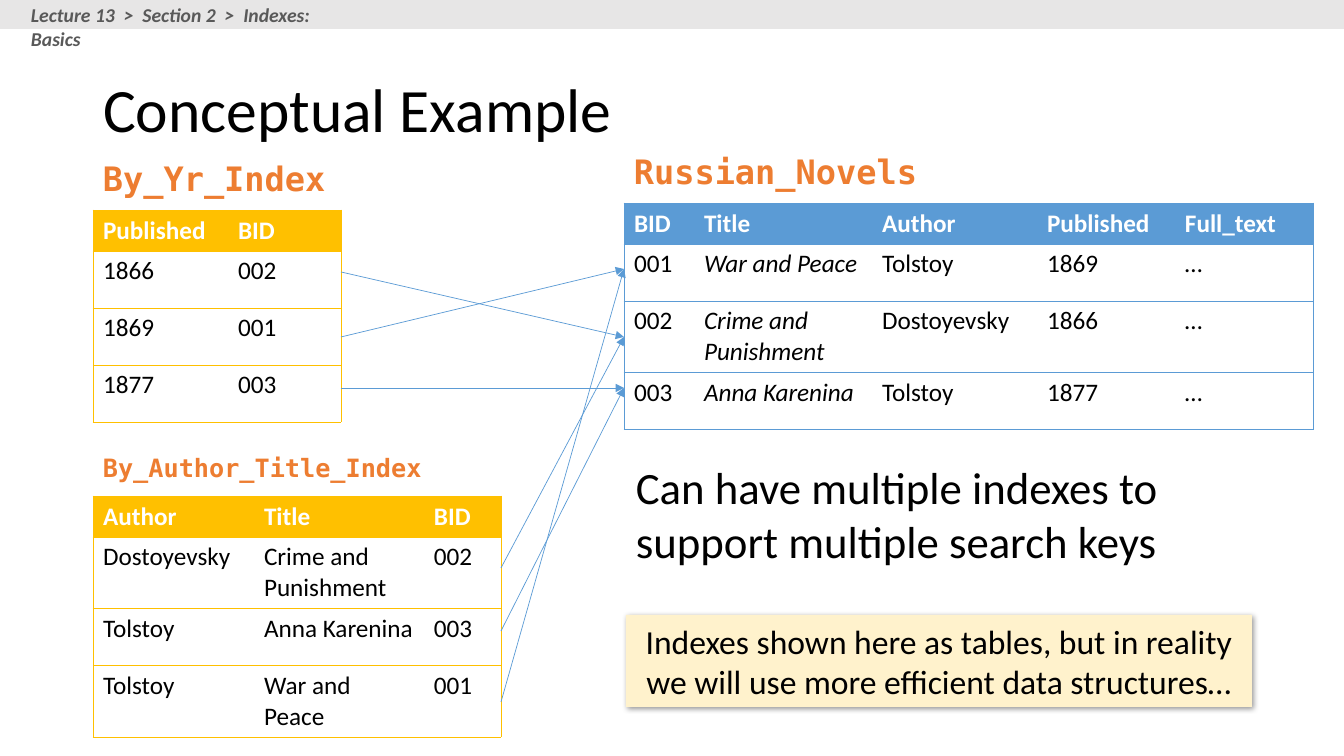
from dataclasses import dataclass

from lxml.etree import SubElement as Sub
from pptx import Presentation
from pptx.dml.color import RGBColor
from pptx.enum.shapes import MSO_CONNECTOR as Link, MSO_SHAPE as Shape
from pptx.enum.text import MSO_ANCHOR as Anchor, MSO_AUTO_SIZE as Fit, PP_ALIGN as Align
from pptx.oxml.ns import qn
from pptx.util import Pt

SCALE = 12192000 / 1344


@dataclass(frozen=True)
class Theme:
    sans: str = "Calibri"
    mono: str = "DejaVu Sans Mono"
    black: str = "000000"
    white: str = "FFFFFF"
    blue: str = "5B9BD5"
    gold: str = "FFC000"
    orange: str = "ED7D31"
    cream: str = "FFF2CC"
    bar: str = "E7E6E6"
    grey: str = "595959"
    title: int = 44
    lead: int = 32
    note: int = 24
    cell: int = 18
    crumb: int = 14
    line: float = 0.5


T = Theme()


def px(*nums):
    return [round(n * SCALE) for n in nums]


def rgb(code):
    return RGBColor.from_string(code)


def write(frame, text, size=T.cell, color=T.black, font=T.sans,
          bold=False, italic=False, align=Align.LEFT, space=None):
    para = frame.paragraphs[0]
    para.alignment = align
    if space:
        para.line_spacing = space
    run = para.add_run()
    run.text = text
    face = run.font
    face.name, face.size = font, Pt(size)
    face.bold, face.italic = bold, italic
    face.color.rgb = rgb(color)


def label(slide, box, text, wrap=True, **form):
    frame = slide.shapes.add_textbox(*px(*box)).text_frame
    frame.word_wrap = wrap
    write(frame, text, **form)


def block(slide, box, color):
    rect = slide.shapes.add_shape(Shape.RECTANGLE, *px(*box))
    rect.shadow.inherit = False
    rect.fill.solid()
    rect.fill.fore_color.rgb = rgb(color)
    rect.line.fill.background()
    return rect


def shade(rect):
    glow = Sub(rect._element.spPr.find(qn("a:effectLst")), qn("a:outerShdw"),
               blurRad=str(Pt(4)), dist=str(Pt(1)), dir="2700000",
               algn="tl", rotWithShape="0")
    tint = Sub(glow, qn("a:srgbClr"), val=T.black)
    Sub(tint, qn("a:alpha"), val="40000")


def edge(cell, side, color):
    line = Sub(cell._tc.get_or_add_tcPr(), qn(f"a:ln{side}"),
               w=str(Pt(T.line)))
    if color:
        Sub(Sub(line, qn("a:solidFill")), qn("a:srgbClr"), val=color)
    else:
        Sub(line, qn("a:noFill"))


def grid(slide, spot, cols, highs, rows, color, slant=None):
    box = (*spot, sum(cols), sum(highs))
    table = slide.shapes.add_table(len(rows), len(cols), *px(*box)).table
    table.horz_banding = False
    for col, wide in zip(table.columns, px(*cols)):
        col.width = wide
    for row, high in zip(table.rows, px(*highs)):
        row.height = high
    for r, row in enumerate(rows):
        head = r == 0
        for c, text in enumerate(row):
            cell = table.cell(r, c)
            edge(cell, "L", color if c == 0 else None)
            edge(cell, "R", color if c == len(cols) - 1 else None)
            edge(cell, "T", color)
            edge(cell, "B", color)
            if head:
                cell.fill.solid()
                cell.fill.fore_color.rgb = rgb(color)
            else:
                cell.fill.background()
            write(cell.text_frame, text, bold=head,
                  color=T.white if head else T.black,
                  italic=c == slant and not head)


def arrow(slide, start, end):
    wire = slide.shapes.add_connector(Link.STRAIGHT, *px(*start, *end))
    wire.line.color.rgb = rgb(T.blue)
    wire.line.width = Pt(T.line)
    Sub(wire.line._get_or_add_ln(), qn("a:tailEnd"), type="triangle")
    Sub(wire._element.spPr, qn("a:effectLst"))


def heading(slide, text):
    title = slide.shapes.title
    title.left, title.top, title.width, title.height = px(93, 40, 1159, 146)
    frame = title.text_frame
    frame.auto_size = Fit.NONE
    frame.word_wrap = True
    frame.vertical_anchor = Anchor.MIDDLE
    write(frame, text, size=T.title, space=0.9)


def header(slide):
    block(slide, (0, 0, 1344, 29), T.bar)
    label(slide, (21, -2, 348, 34),
          "Lecture 13  >  Section 2  >  Indexes: Basics",
          size=T.crumb, color=T.grey, bold=True, italic=True)


def tables(slide):
    grid(slide, (624, 203), (70, 178, 165, 138, 138), (40, 57, 71, 57), [
        ("BID", "Title", "Author", "Published", "Full_text"),
        ("001", "War and Peace", "Tolstoy", "1869", "…"),
        ("002", "Crime and Punishment", "Dostoyevsky", "1866", "…"),
        ("003", "Anna Karenina", "Tolstoy", "1877", "…"),
    ], T.blue, slant=1)
    grid(slide, (93, 210), (135, 113), (40, 57, 57, 57), [
        ("Published", "BID"),
        ("1866", "002"),
        ("1869", "001"),
        ("1877", "003"),
    ], T.gold)
    grid(slide, (93, 496), (161, 170, 77), (40, 71, 57, 71), [
        ("Author", "Title", "BID"),
        ("Dostoyevsky", "Crime and Punishment", "002"),
        ("Tolstoy", "Anna Karenina", "003"),
        ("Tolstoy", "War and Peace", "001"),
    ], T.gold)


def arrows(slide):
    goals = {"001": 269, "002": 337, "003": 388}
    for x, starts in (
        (341, {"002": 272, "001": 337, "003": 388}),
        (501, {"002": 568, "003": 631, "001": 702}),
    ):
        for bid, y in starts.items():
            arrow(slide, (x, y), (624, goals[bid]))


def labels(slide):
    for box, text, size in (
        ((624, 146, 307, 50), "Russian_Novels", T.note),
        ((93, 153, 246, 50), "By_Yr_Index", T.note),
        ((93, 447, 343, 40), "By_Author_Title_Index", T.cell),
    ):
        label(slide, box, text, wrap=False, size=size, font=T.mono,
              color=T.orange, bold=True)
    label(slide, (626, 455, 686, 119),
          "Can have multiple indexes to support multiple search keys",
          size=T.lead)


def note(slide):
    rect = block(slide, (626, 615, 626, 92), T.cream)
    shade(rect)
    rect.text_frame.word_wrap = True
    write(rect.text_frame,
          "Indexes shown here as tables, but in reality "
          "we will use more efficient data structures…",
          size=T.note, align=Align.CENTER)


def main():
    deck = Presentation()
    deck.slide_width, deck.slide_height = px(1344, 756)
    slide = deck.slides.add_slide(deck.slide_layouts[5])
    heading(slide, "Conceptual Example")
    tables(slide)
    arrows(slide)
    note(slide)
    labels(slide)
    header(slide)
    deck.save("out.pptx")


if __name__ == "__main__":
    main()
